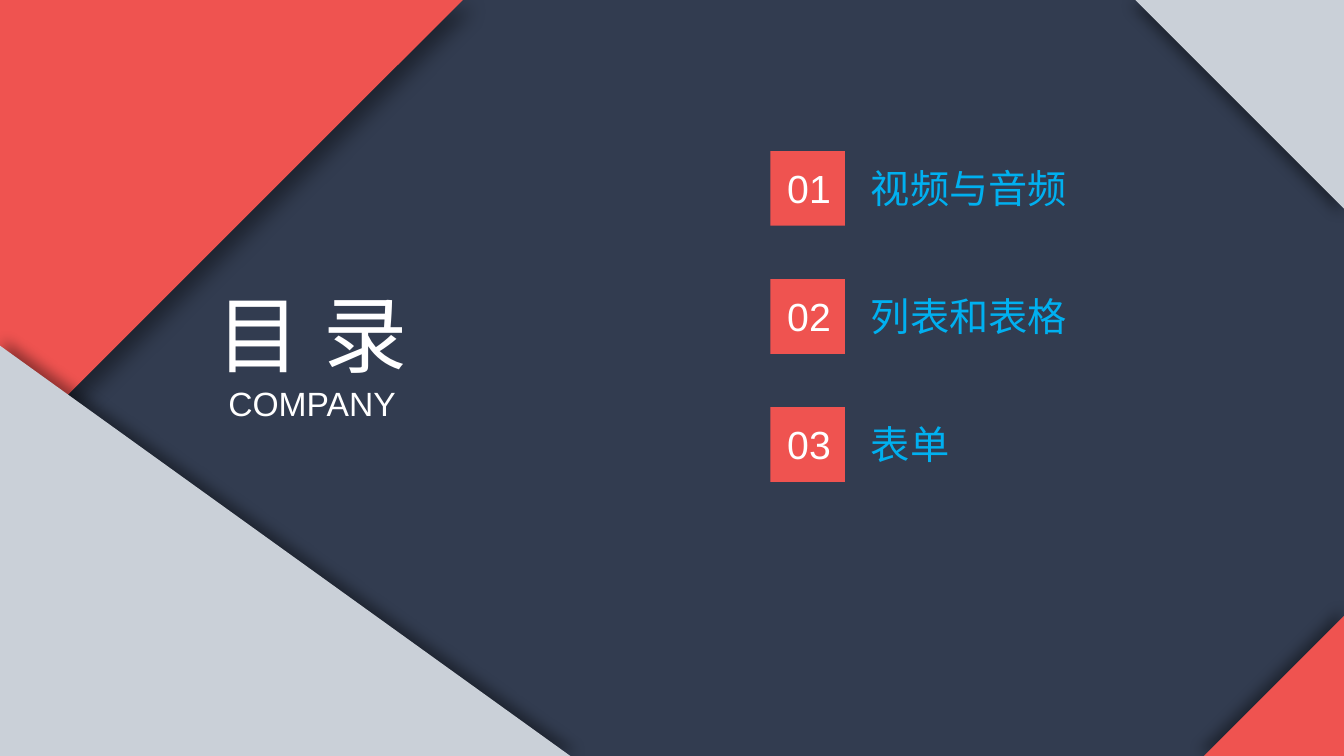
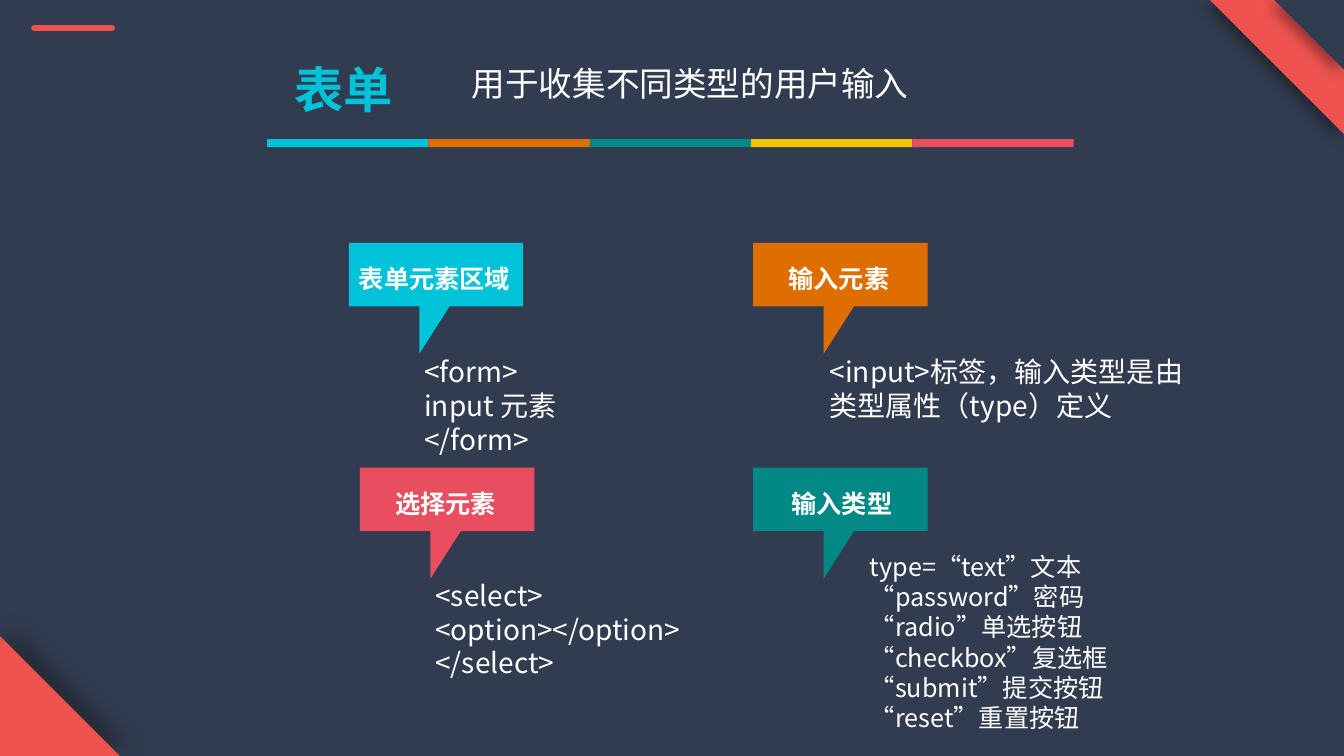
"""Build a contents slide and a slide on web forms."""
from dataclasses import dataclass
from typing import Any, NamedTuple, Optional

from lxml.etree import SubElement
from pptx import Presentation
from pptx.dml.color import RGBColor
from pptx.enum.shapes import MSO_CONNECTOR, MSO_SHAPE
from pptx.enum.text import MSO_AUTO_SIZE, PP_ALIGN
from pptx.oxml.ns import qn
from pptx.util import Inches, Pt


@dataclass(frozen=True)
class Theme:
    navy: str = "323C50"
    red: str = "EF5350"
    gray: str = "CAD0D8"
    white: str = "FFFFFF"
    blue: str = "00B0F0"
    cyan: str = "00C3D9"
    amber: str = "DE6E00"
    teal: str = "028985"
    gold: str = "F3C301"
    rose: str = "E94E60"
    black: str = "000000"
    sans: str = "Arial"
    hans: str = "Noto Sans CJK SC"
    huge: int = 60
    head: int = 44
    item: int = 28
    sub: int = 24
    body: int = 20
    small: int = 18


THEME = Theme()


class Box(NamedTuple):
    left: float
    top: float
    width: float
    height: float


class Style(NamedTuple):
    size: int
    color: str = THEME.white
    face: str = THEME.hans
    asian: str = THEME.hans
    bold: bool = False
    caps: bool = False
    align: PP_ALIGN = PP_ALIGN.LEFT


class Inset(NamedTuple):
    side: float = 0.1
    edge: float = 0.05


class Shade(NamedTuple):
    angle: int
    blur: int = 10
    gap: int = 5
    alpha: int = 40


class Corner(NamedTuple):
    box: Box
    color: str
    shade: Shade
    turn: int = 0
    flip: Optional[str] = None


class Callout(NamedTuple):
    left: float
    top: float
    color: str
    label: str
    shift: float
    lines: list[str]
    text: Box
    style: Style
    inset: Inset


def apply(target: Any, values: dict[str, Any]) -> None:
    for name, value in values.items():
        setattr(target, name, value)


def paint(shape: Any, color: str) -> None:
    shape.shadow.inherit = False
    shape.fill.solid()
    shape.fill.fore_color.rgb = RGBColor.from_string(color)
    shape.line.fill.background()


def place(box: Box) -> list[int]:
    return [Inches(side) for side in box]


def add_block(slide: Any, box: Box, color: str) -> None:
    paint(slide.shapes.add_shape(MSO_SHAPE.RECTANGLE, *place(box)), color)


def add_corner(slide: Any, corner: Corner) -> None:
    shape = slide.shapes.add_shape(MSO_SHAPE.RIGHT_TRIANGLE, *place(corner.box))
    paint(shape, corner.color)
    shape.rotation = corner.turn
    props = shape._element.spPr
    if corner.flip:
        props.find(qn("a:xfrm")).set(corner.flip, "1")
    shade = corner.shade
    cast = SubElement(props.find(qn("a:effectLst")), qn("a:outerShdw"), {
        "blurRad": str(Pt(shade.blur)), "dist": str(Pt(shade.gap)),
        "dir": str(shade.angle * 60000), "rotWithShape": "0"})
    tint = SubElement(cast, qn("a:srgbClr"), val=THEME.black)
    SubElement(tint, qn("a:alpha"), val=str(shade.alpha * 1000))


def add_text(slide: Any, box: Box, rows: list[tuple[str, Style]],
             inset: Inset = Inset(), wrap: bool = True) -> None:
    frame = slide.shapes.add_textbox(*place(box)).text_frame
    apply(frame, {
        "word_wrap": wrap, "auto_size": MSO_AUTO_SIZE.NONE,
        "margin_left": Inches(inset.side), "margin_right": Inches(inset.side),
        "margin_top": Inches(inset.edge), "margin_bottom": Inches(inset.edge)})
    for spot, (words, style) in enumerate(rows):
        para = frame.add_paragraph() if spot else frame.paragraphs[0]
        para.alignment = style.align
        run = para.add_run()
        run.text = words
        apply(run.font, {"size": Pt(style.size), "name": style.face, "bold": style.bold})
        run.font.color.rgb = RGBColor.from_string(style.color)
        props = run.font._element
        SubElement(props, qn("a:ea"), typeface=style.asian)
        if style.caps:
            props.set("cap", "small")


def add_dash(slide: Any, left: float, right: float, top: float) -> None:
    dash = slide.shapes.add_connector(
        MSO_CONNECTOR.STRAIGHT, Inches(left), Inches(top), Inches(right), Inches(top))
    dash.line.color.rgb = RGBColor.from_string(THEME.red)
    dash.line.width = Pt(4.5)
    dash.line._ln.set("cap", "rnd")
    SubElement(dash._element.spPr, qn("a:effectLst"))


def add_callout(slide: Any, call: Callout) -> None:
    points = [(Inches(call.left + x), Inches(call.top + y)) for x, y in BUBBLE]
    pen = slide.shapes.build_freeform(*points[0])
    pen.add_line_segments(points[1:], close=True)
    paint(pen.convert_to_shape(), call.color)
    box = Box(call.left + call.shift, call.top + 0.2, 1.76, 0.28)
    add_text(slide, box, [(call.label, LABEL)], FLAT)
    add_text(slide, call.text, [(line, call.style) for line in call.lines], call.inset)


BUBBLE = [(0, 0), (1.73, 0), (1.73, 0.63), (1, 0.63), (0.7, 1.1), (0.7, 0.63), (0, 0.63)]
FLAT = Inset(edge=0)
LABEL = Style(THEME.small, bold=True, align=PP_ALIGN.CENTER)
BODY = Style(THEME.body)
TITLE = Style(THEME.huge, face=THEME.sans, asian=THEME.sans, align=PP_ALIGN.CENTER)
ITEM = Style(THEME.item, face=THEME.sans, asian=THEME.sans)

FRONT = [
    Corner(Box(11.26, 0, 2.07, 2.07), THEME.gray, Shade(135), 90, "flipV"),
    Corner(Box(0, 0, 4.59, 4.59), THEME.red, Shade(45, 15, 10), flip="flipV"),
    Corner(Box(11.94, 6.1, 1.4, 1.4), THEME.red, Shade(225), 270),
    Corner(Box(0.79, 2.63, 4.08, 5.67), THEME.gray, Shade(315), 90, "flipH"),
]
INNER = [
    Corner(Box(12, 0, 1.33, 1.33), THEME.red, Shade(135), 90, "flipV"),
    Corner(Box(0, 6.31, 1.19, 1.19), THEME.red, Shade(315, 15, 10, 30)),
    Corner(Box(12.64, 0, 0.69, 0.69), THEME.navy, Shade(135), 90, "flipV"),
]
TOPICS = ["视频与音频", "列表和表格", "表单"]
STRIPES = [THEME.cyan, THEME.amber, THEME.teal, THEME.gold, THEME.rose]
CALLS = [
    Callout(3.46, 2.41, THEME.cyan, "表单元素区域", -0.03,
            ["<form>", "input 元素", "</form>"],
            Box(4.11, 3.52, 3.36, 1.12), BODY, FLAT),
    Callout(3.57, 4.64, THEME.rose, "选择元素", -0.03,
            ["<select>", "<option></option>", "</select>"],
            Box(4.22, 5.74, 3.25, 1.27), BODY, FLAT),
    Callout(7.47, 2.41, THEME.amber, "输入元素", -0.03,
            ["<input>标签，输入类型是由类型属性（type）定义"],
            Box(8.13, 3.52, 3.91, 1.12), BODY, FLAT),
    Callout(7.47, 4.64, THEME.teal, "输入类型", 0,
            ["type=“text”文本", "“password”密码", "“radio”单选按钮",
             "“checkbox”复选框", "“submit”提交按钮", "“reset”重置按钮"],
            Box(8.53, 5.42, 2.78, 1.92), Style(THEME.small), Inset()),
]


def draw_index(slide: Any) -> None:
    for corner in FRONT:
        add_corner(slide, corner)
    add_text(slide, Box(2.03, 2.75, 2.13, 1.51),
             [("目 录", TITLE), ("COMPANY", TITLE._replace(size=THEME.sub))], wrap=False)
    for spot, topic in enumerate(TOPICS):
        top = 1.5 + 1.27 * spot
        add_block(slide, Box(7.64, top, 0.74, 0.74), THEME.red)
        add_text(slide, Box(7.71, top + 0.08, 0.64, 0.57),
                 [(f"{spot + 1:02}", ITEM)], wrap=False)
        add_text(slide, Box(8.54, top + 0.08, 2.95, 0.57),
                 [(topic, ITEM._replace(color=THEME.blue))])


def draw_forms(slide: Any) -> None:
    for corner in INNER:
        add_corner(slide, corner)
    add_dash(slide, 0.34, 1.11, 0.28)
    add_text(slide, Box(2.84, 0.43, 2.87, 0.81),
             [("表单", Style(THEME.head, THEME.cyan, bold=True, caps=True))],
             Inset(0.08, 0.04))
    add_text(slide, Box(4.58, 0.58, 5.6, 0.5),
             [("用于收集不同类型的用户输入", Style(THEME.sub, face=THEME.sans))])
    for spot, color in enumerate(STRIPES):
        add_block(slide, Box(2.65 + 1.6 * spot, 1.38, 1.6, 0.08), color)
    for call in CALLS:
        add_callout(slide, call)


def main() -> None:
    deck = Presentation()
    apply(deck, {"slide_width": Inches(13.33), "slide_height": Inches(7.5)})
    fill = deck.slide_master.background.fill
    fill.solid()
    fill.fore_color.rgb = RGBColor.from_string(THEME.navy)
    for draw in (draw_index, draw_forms):
        draw(deck.slides.add_slide(deck.slide_layouts[6]))
    deck.save("out.pptx")


main()
